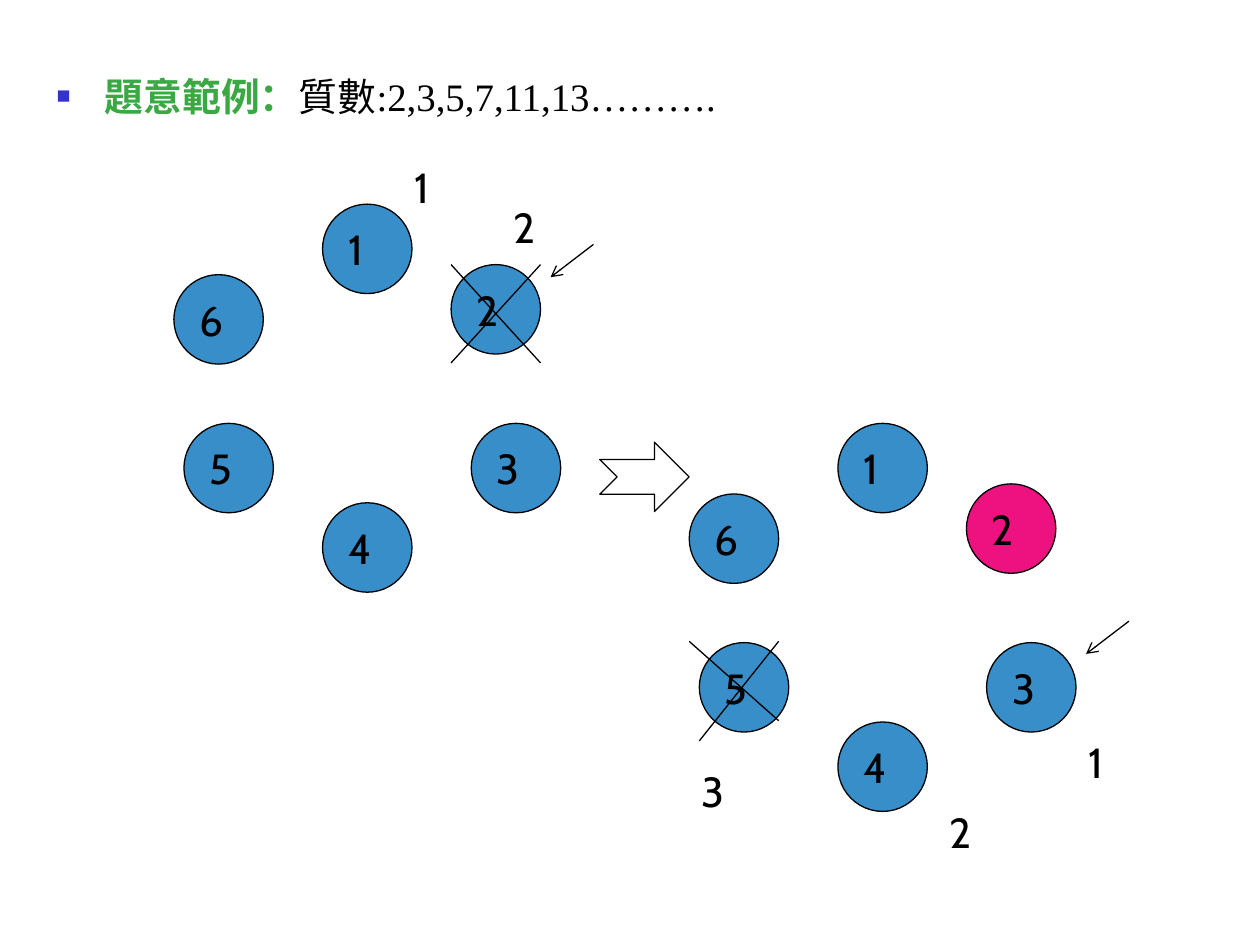
"""Build a slide that shows two rounds of a prime-number elimination circle."""
import lxml.etree
import pptx
import pptx.dml.color
import pptx.enum.shapes
import pptx.enum.text
import pptx.oxml.ns
import pptx.util

Inches = pptx.util.Inches
Pt = pptx.util.Pt
RGBColor = pptx.dml.color.RGBColor
SHAPE = pptx.enum.shapes.MSO_SHAPE
qn = pptx.oxml.ns.qn

BLACK = RGBColor(0x00, 0x00, 0x00)
WHITE = RGBColor(0xFF, 0xFF, 0xFF)
BLUE = RGBColor(0x37, 0x8E, 0xC9)
PINK = RGBColor(0xEE, 0x12, 0x80)
GREEN = RGBColor(0x3B, 0xA9, 0x43)
BULLET = RGBColor(0x33, 0x33, 0xCC)

DIAMETER = 0.71
SEATS = [(1.18, 0), (2.2, 0.48), (2.36, 1.74), (1.18, 2.37), (0.08, 1.74), (0, 0.56)]
FIRST_RING = (1.38, 1.62)
SECOND_RING = (5.47, 3.36)
COUNTS = [("1", 3.19, 1.23), ("2", 3.98, 1.55), ("1", 8.54, 5.8),
          ("2", 7.44, 6.35), ("3", 5.47, 6.03)]
CROSS_LINES = [(3.58, 2.1, 4.29, 2.88), (4.29, 2.1, 3.58, 2.88),
               (6.18, 5.09, 5.55, 5.88), (5.47, 5.09, 6.18, 5.72)]
POINTERS = [(4.71, 1.94, 4.37, 2.2), (8.96, 4.93, 8.62, 5.19)]


def style_span(span, font_name, size, color, bold=False):
    font = span.font
    font.name = font_name
    font.size = Pt(size)
    font.color.rgb = color
    font.bold = bold


def add_bullet(para):
    properties = para._p.get_or_add_pPr()
    properties.set("marL", str(Inches(0.38)))
    properties.set("indent", str(-Inches(0.38)))
    color = lxml.etree.SubElement(properties, qn("a:buClr"))
    lxml.etree.SubElement(color, qn("a:srgbClr"), val=str(BULLET))
    lxml.etree.SubElement(properties, qn("a:buSzPct"), val="60000")
    lxml.etree.SubElement(properties, qn("a:buChar"), char="■")


def fill_body(page):
    title = page.shapes.title
    title.element.getparent().remove(title.element)
    body = page.placeholders[1]
    body.left, body.top = Inches(0.35), Inches(0.6)
    body.width, body.height = Inches(8.83), Inches(6.15)
    frame = body.text_frame
    frame.auto_size = pptx.enum.text.MSO_AUTO_SIZE.NONE
    para = frame.paragraphs[0]
    add_bullet(para)
    para.line_spacing = 0.8
    para.space_before = Pt(0)
    for text, color, bold in [("題意範例：", GREEN, True),
                              ("質數:2,3,5,7,11,13……….", BLACK, False)]:
        span = para.add_run()
        span.text = text
        style_span(span, "Times New Roman", 22.2, color, bold)


def add_outlined_shape(page, kind, left, top, width, height, color):
    shape = page.shapes.add_shape(kind, Inches(left), Inches(top), Inches(width), Inches(height))
    shape.shadow.inherit = False
    shape.fill.solid()
    shape.fill.fore_color.rgb = color
    shape.line.color.rgb = BLACK
    shape.line.width = Pt(0.75)
    return shape


def write_number(box, text):
    frame = box.text_frame
    frame.text = text
    frame.word_wrap = False
    style_span(frame.paragraphs[0].runs[0], "Cabin", 24, BLACK)


def add_ring(page, origin, removed=()):
    for number, (across, down) in enumerate(SEATS, start=1):
        color = PINK if number in removed else BLUE
        circle = add_outlined_shape(page, SHAPE.OVAL, origin[0] + across, origin[1] + down,
                                    DIAMETER, DIAMETER, color)
        write_number(circle, str(number))


def add_line(page, start_x, start_y, end_x, end_y, arrow=False):
    line = page.shapes.add_connector(pptx.enum.shapes.MSO_CONNECTOR.STRAIGHT, Inches(start_x),
                                     Inches(start_y), Inches(end_x), Inches(end_y))
    line.line.color.rgb = BLACK
    line.line.width = Pt(0.75)
    if arrow:
        lxml.etree.SubElement(line.line._get_or_add_ln(), qn("a:tailEnd"), type="arrow")
    lxml.etree.SubElement(line.element.spPr, qn("a:effectLst"))


def add_count(page, text, left, top):
    box = page.shapes.add_textbox(Inches(left), Inches(top), Inches(0.39), Inches(0.5))
    write_number(box, text)


def main():
    deck = pptx.Presentation()
    deck.slide_width, deck.slide_height = Inches(10), Inches(7.5)
    page = deck.slides.add_slide(deck.slide_layouts[1])
    fill_body(page)
    add_ring(page, FIRST_RING)
    add_ring(page, SECOND_RING, removed=(2,))
    add_outlined_shape(page, SHAPE.NOTCHED_RIGHT_ARROW, 4.76, 3.51, DIAMETER, 0.55, WHITE)
    for ends in CROSS_LINES:
        add_line(page, *ends)
    for ends in POINTERS:
        add_line(page, *ends, arrow=True)
    for text, left, top in COUNTS:
        add_count(page, text, left, top)
    deck.save("out.pptx")


if __name__ == "__main__":
    main()
